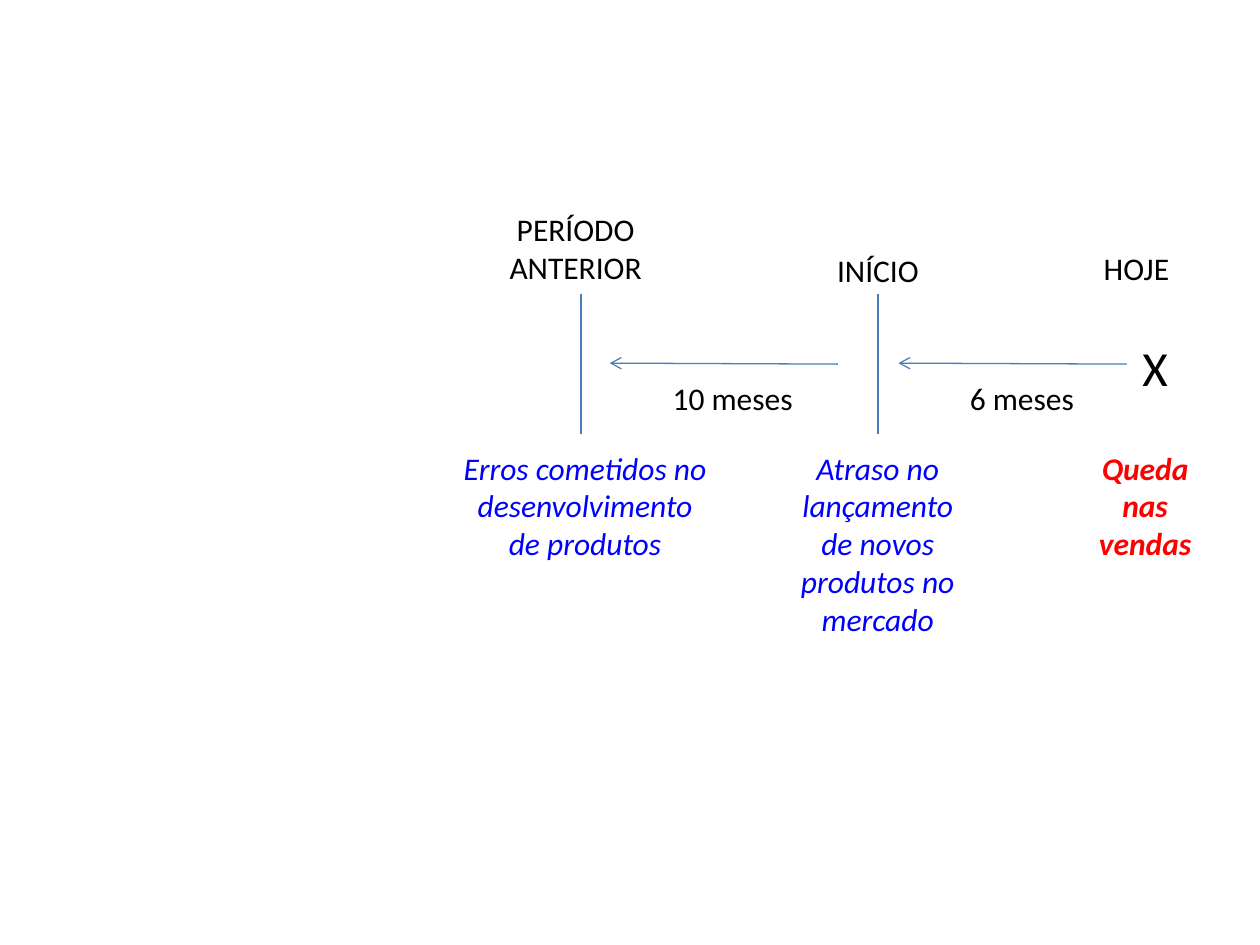
from dataclasses import dataclass

from lxml.etree import SubElement
from pptx import Presentation
from pptx.dml.color import RGBColor
from pptx.enum.shapes import MSO_CONNECTOR
from pptx.enum.text import MSO_AUTO_SIZE, PP_ALIGN
from pptx.oxml.ns import qn
from pptx.slide import Slide
from pptx.util import Cm, Pt

BLACK, RED, BLUE, STEEL = "000000", "FF0000", "0000FF", "4B7EBC"
EVENT_TOP = 8.92
DURATION_TOP = 7.52
MARK_TOP, MARK_BOTTOM = 5.92, 8.74
ARROW_Y, ARROW_LENGTH = 7.34, 4.6


@dataclass
class Label:
    """A text box, with lengths in centimetres."""

    text: str
    left: float
    top: float
    width: float
    height: float = 1.02
    color: str = BLACK
    size: int = 18
    bold: bool = False
    italic: bool = False
    align: PP_ALIGN = PP_ALIGN.CENTER


@dataclass
class Line:
    """A straight line, with lengths in centimetres."""

    start_x: float
    start_y: float
    end_x: float
    end_y: float
    arrow: bool = False


LABELS = [
    Label("PERÍODO ANTERIOR", 9.7, 4.11, 3.81, 1.8),
    Label("INÍCIO", 16.1, 4.93, 3.2),
    Label("HOJE", 21.31, 4.9, 3.2),
    Label("X", 21.89, 6.68, 2.79, 1.45, size=28),
    Label("10 meses", 13.31, DURATION_TOP, 3.2, align=PP_ALIGN.LEFT),
    Label("6 meses", 19.3, DURATION_TOP, 2.79, align=PP_ALIGN.LEFT),
    Label("Erros cometidos no desenvolvimento de produtos",
          9.09, EVENT_TOP, 5.41, 3.33, BLUE, italic=True),
    Label("Atraso no lançamento de novos produtos no mercado",
          15.7, EVENT_TOP, 3.99, 4.11, BLUE, italic=True),
    Label("Queda nas vendas", 21.89, EVENT_TOP, 2.39, 2.57, RED,
          bold=True, italic=True),
]
MARKS = [Line(x, MARK_TOP, x, MARK_BOTTOM) for x in (11.71, 17.7)]
ARROWS = [Line(x, ARROW_Y, x - ARROW_LENGTH, ARROW_Y - 0.02, arrow=True)
          for x in (16.89, 22.71)]


def hex_color(value: str) -> RGBColor:
    """Turn a hex string into a colour."""
    return RGBColor.from_string(value)


def apply_format(target: object, values: dict) -> None:
    """Set every named attribute on the target."""
    for name, value in values.items():
        setattr(target, name, value)


def draw_label(page: Slide, label: Label) -> None:
    """Add one formatted text box."""
    box = page.shapes.add_textbox(Cm(label.left), Cm(label.top),
                                  Cm(label.width), Cm(label.height))
    apply_format(box.text_frame, {"word_wrap": True,
                                  "auto_size": MSO_AUTO_SIZE.SHAPE_TO_FIT_TEXT})
    para = box.text_frame.paragraphs[0]
    para.alignment = label.align
    span = para.add_run()
    span.text = label.text
    apply_format(span.font, {"name": "Calibri", "size": Pt(label.size),
                             "bold": label.bold, "italic": label.italic})
    span.font.color.rgb = hex_color(label.color)


def draw_line(page: Slide, line: Line) -> None:
    """Add one line, with an arrowhead at its end if asked."""
    connector = page.shapes.add_connector(
        MSO_CONNECTOR.STRAIGHT, Cm(line.start_x), Cm(line.start_y),
        Cm(line.end_x), Cm(line.end_y))
    connector.line.width = Pt(0.75)
    connector.line.color.rgb = hex_color(STEEL)
    properties = connector.element.spPr
    if line.arrow:
        SubElement(properties.find(qn("a:ln")), qn("a:tailEnd"), type="arrow")
    SubElement(properties, qn("a:effectLst"))


def main() -> None:
    """Build the timeline and save it."""
    deck = Presentation()
    apply_format(deck, {"slide_width": Cm(25.4), "slide_height": Cm(19.05)})
    page = deck.slides.add_slide(deck.slide_layouts[6])
    for line in MARKS + ARROWS:
        draw_line(page, line)
    for label in LABELS:
        draw_label(page, label)
    deck.save("out.pptx")


if __name__ == "__main__":
    main()
